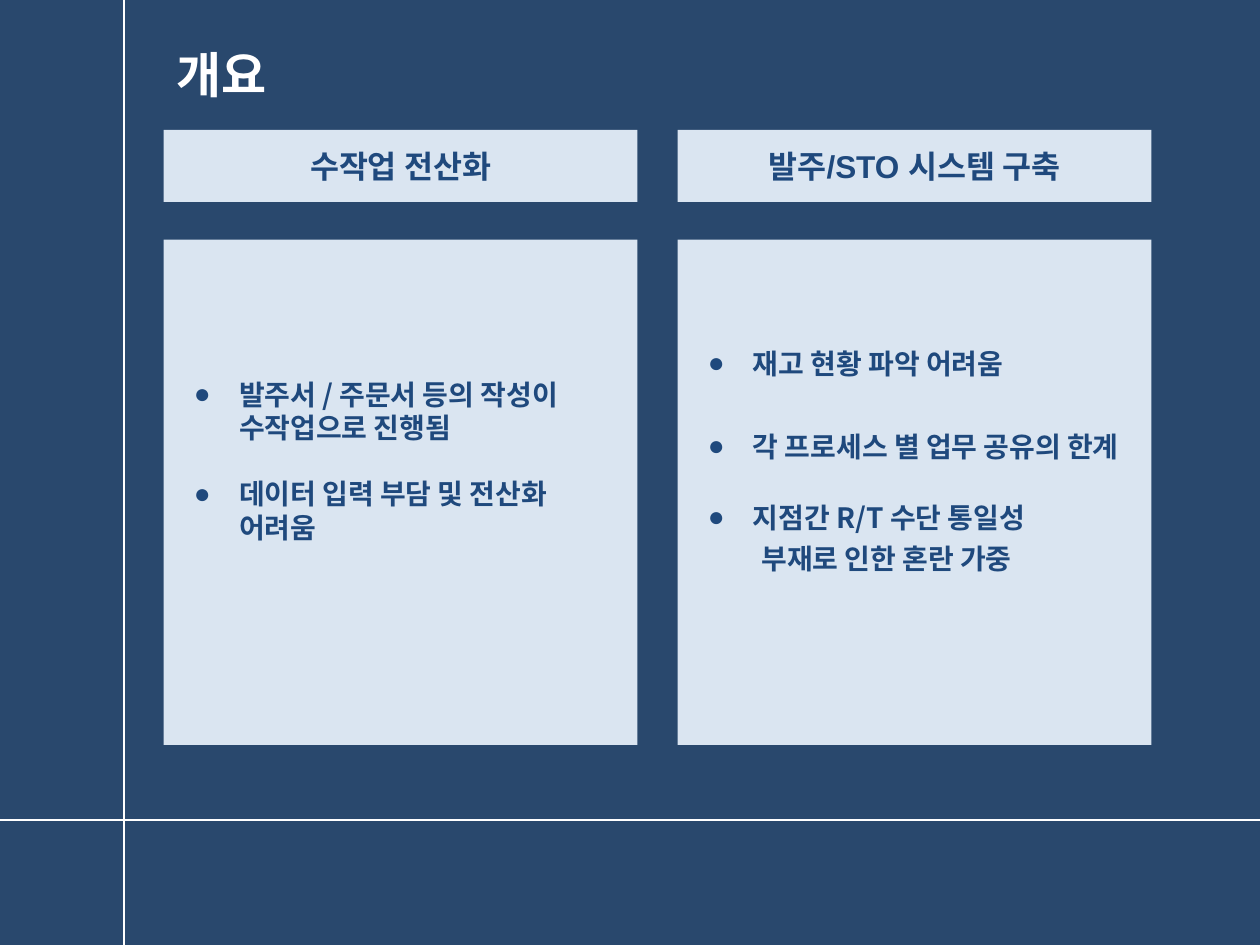
"""Builds the overview slide with two headed columns of bullet points."""
from dataclasses import dataclass

from lxml import etree
from pptx import Presentation
from pptx.dml.color import RGBColor
from pptx.enum.shapes import MSO_CONNECTOR, MSO_SHAPE
from pptx.enum.text import MSO_ANCHOR, MSO_AUTO_SIZE, PP_ALIGN
from pptx.oxml.ns import qn
from pptx.util import Cm, Pt

RECTANGLE = MSO_SHAPE.RECTANGLE
STRAIGHT = MSO_CONNECTOR.STRAIGHT
TOP, MIDDLE = MSO_ANCHOR.TOP, MSO_ANCHOR.MIDDLE
LEFT, CENTER = PP_ALIGN.LEFT, PP_ALIGN.CENTER
NO_AUTOFIT = MSO_AUTO_SIZE.NONE


@dataclass(frozen=True)
class Theme:
    background: str = "29486D"
    panel: str = "DAE5F1"
    ink: str = "1F497D"
    light: str = "FFFFFF"
    korean: str = "Noto Sans CJK KR"
    latin: str = "Arial"
    title: int = 28
    heading: int = 18
    body: int = 16


theme = Theme()


def write(paragraph, text, *, size, color=theme.ink, font=theme.korean, align=LEFT,
          leading=None, before=0, indent=0, bullet=False):
    paragraph.alignment = align
    paragraph.space_before = Pt(before)
    if leading:
        paragraph.line_spacing = Pt(leading)
    run = paragraph.add_run()
    run.text = text
    run.font.size, run.font.bold, run.font.name = Pt(size), True, font
    run.font.color.rgb = RGBColor.from_string(color)
    etree.SubElement(run.font._element, qn("a:ea"), typeface=theme.korean)
    properties = paragraph._p.get_or_add_pPr()
    properties.set("marL", str(Cm(indent)))
    properties.set("indent", str(Cm(-0.91 if bullet else 0)))
    if bullet:
        bullet_color = etree.SubElement(properties, qn("a:buClr"))
        etree.SubElement(bullet_color, qn("a:srgbClr"), val=color)
        etree.SubElement(properties, qn("a:buFont"), typeface=theme.latin)
        etree.SubElement(properties, qn("a:buChar"), char="●")
    else:
        etree.SubElement(properties, qn("a:buNone"))


def add_panel(left, top, width, height):
    panel = slide.shapes.add_shape(RECTANGLE, Cm(left), Cm(top), Cm(width), Cm(height))
    panel.shadow.inherit = False
    panel.fill.solid()
    panel.fill.fore_color.rgb = RGBColor.from_string(theme.panel)
    panel.line.fill.background()
    panel.text_frame.word_wrap = True
    panel.text_frame.vertical_anchor = MIDDLE
    return panel.text_frame


deck = Presentation()
deck.slide_width, deck.slide_height = Cm(25.4), Cm(19.05)
slide = deck.slides.add_slide(deck.slide_layouts[5])
slide.background.fill.solid()
slide.background.fill.fore_color.rgb = RGBColor.from_string(theme.background)

for x1, y1, x2, y2 in [(0, 16.53, 25.4, 16.53), (2.5, 0, 2.5, 19.05)]:
    rule = slide.shapes.add_connector(STRAIGHT, Cm(x1), Cm(y1), Cm(x2), Cm(y2))
    rule.line.color.rgb = RGBColor.from_string(theme.light)
    rule.line.width = Pt(0.75)
    etree.SubElement(rule._element.spPr, qn("a:effectLst"))

title = slide.shapes.title
title.left, title.top, title.width, title.height = Cm(3.3), Cm(0.69), Cm(12.73), Cm(1.8)
title.text_frame.auto_size = NO_AUTOFIT
title.text_frame.vertical_anchor = TOP
write(title.text_frame.paragraphs[0], "개요", size=theme.title, color=theme.light, leading=36)

BULLET_INDENT, CONTINUATION_INDENT = 1.27, 1.44
columns = [
    ("수작업 전산화", [
        ("발주서 / 주문서 등의 작성이 수작업으로 진행됨", 0, True),
        ("데이터 입력 부담 및 전산화 어려움", 19, True),
    ]),
    ("발주/STO 시스템 구축", [
        ("재고 현황 파악 어려움", 0, True),
        ("각 프로세스 별 업무 공유의 한계", 28.5, True),
        ("지점간 R/T 수단 통일성", 21.5, True),
        ("부재로 인한 혼란 가중", 4.5, False),
    ]),
]
COLUMN_WIDTH, COLUMN_GAP = 9.55, 0.81

for column, (heading, points) in enumerate(columns):
    left = 3.3 + column * (COLUMN_WIDTH + COLUMN_GAP)
    header = add_panel(left, 2.62, COLUMN_WIDTH, 1.45)
    write(header.paragraphs[0], heading, size=theme.heading, font=theme.latin, align=CENTER)

    body = add_panel(left, 4.83, COLUMN_WIDTH, 10.19)
    body.margin_bottom = Cm(1.4)
    for index, (point, before, bullet) in enumerate(points):
        paragraph = body.add_paragraph() if index else body.paragraphs[0]
        write(paragraph, point, size=theme.body, leading=19, before=before, bullet=bullet,
              indent=BULLET_INDENT if bullet else CONTINUATION_INDENT)

deck.save("out.pptx")
